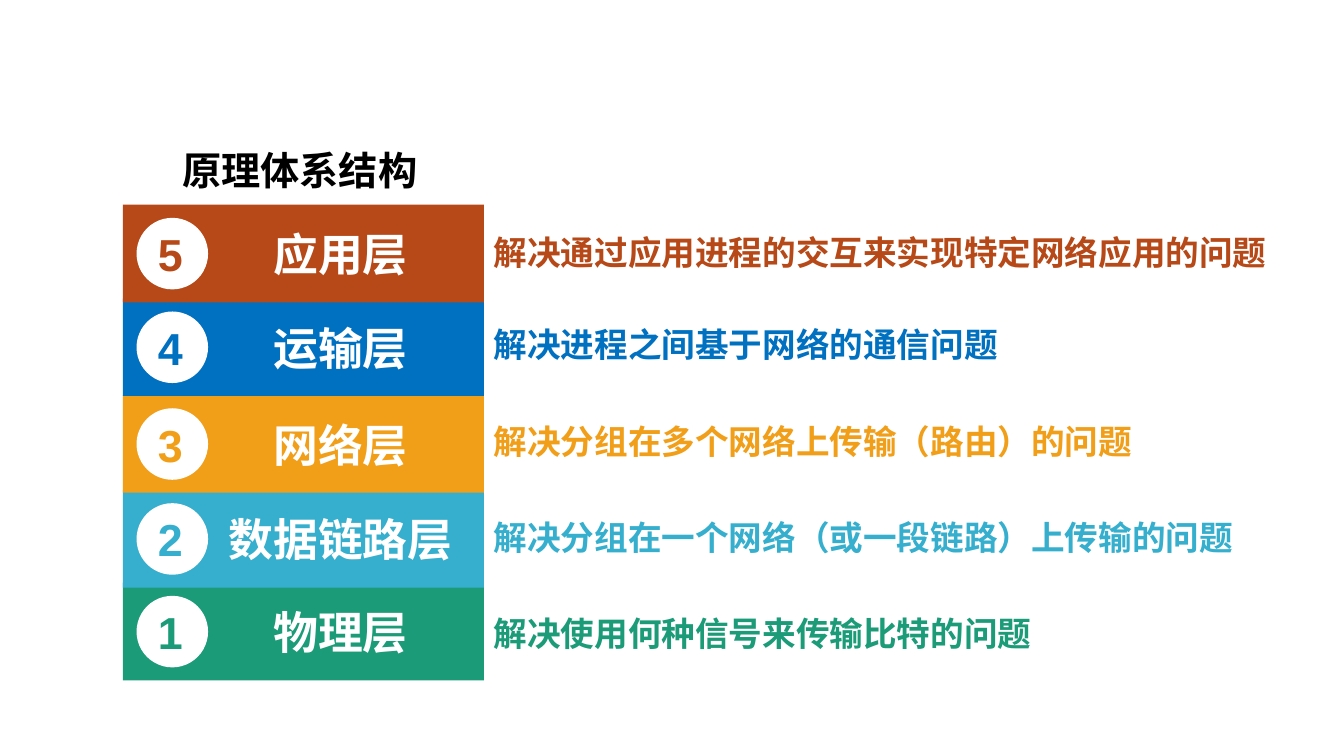
"""Build a slide of the five network layers and the problem each one solves."""
from lxml import etree
from pptx import Presentation
from pptx.dml.color import RGBColor
from pptx.enum.shapes import MSO_SHAPE
from pptx.enum.text import MSO_ANCHOR, MSO_AUTO_SIZE, PP_ALIGN
from pptx.oxml.ns import qn
from pptx.util import Pt

RECT, OVAL = MSO_SHAPE.RECTANGLE, MSO_SHAPE.OVAL
LEFT, CENTER = PP_ALIGN.LEFT, PP_ALIGN.CENTER
MIDDLE, FIXED = MSO_ANCHOR.MIDDLE, MSO_AUTO_SIZE.NONE
LATIN, HAN = "Arial", "Noto Sans CJK SC"
COLORS = {
    "green": "1C9B78", "cyan": "35AFCD", "amber": "F19E19",
    "blue": "0070C0", "rust": "B64917", "white": "FFFFFF", "black": "000000",
}
LAYERS = [
    ("物理层", "解决使用何种信号来传输比特的问题", "green", 416.2, 434.2, 489),
    ("数据链路层", "解决分组在一个网络（或一段链路）上传输的问题", "cyan", 350, 365.8, 555),
    ("网络层", "解决分组在多个网络上传输（路由）的问题", "amber", 282.2, 297.4, 489),
    ("运输层", "解决进程之间基于网络的通信问题", "blue", 213.1, 227.5, 489),
    ("应用层", "解决通过应用进程的交互来实现特定网络应用的问题", "rust", 146.2, 162, 581),
]


def write(box, text, size, color, font=HAN, align=LEFT):
    frame = box.text_frame
    format = {"word_wrap": True, "auto_size": FIXED, "vertical_anchor": MIDDLE}
    for name, value in format.items():
        setattr(frame, name, value)
    line = frame.paragraphs[0]
    line.alignment = align
    line.line_spacing = 1.0
    line.space_before = Pt(0)
    run = line.add_run()
    run.text = text
    for name, value in {"name": font, "size": Pt(size), "bold": True}.items():
        setattr(run.font, name, value)
    run.font.color.rgb = RGBColor.from_string(COLORS[color])
    etree.SubElement(run._r.get_or_add_rPr(), qn("a:ea"), typeface=font)


def draw(kind, color, *place):
    shape = shapes.add_shape(kind, *map(Pt, place))
    shape.shadow.inherit = False
    shape.fill.solid()
    shape.fill.fore_color.rgb = RGBColor.from_string(COLORS[color])
    shape.line.fill.background()


deck = Presentation()
deck.slide_width, deck.slide_height = Pt(960), Pt(540)
slide = deck.slides.add_slide(deck.slide_layouts[5])
shapes = slide.shapes

title = shapes.title
place = {"left": 123.1, "top": 100.8, "width": 193, "height": 41}
for name, value in place.items():
    setattr(title, name, Pt(value))
write(title, "原理体系结构", 28, "black")

for level, (layer, note, color, top, base, width) in enumerate(LAYERS, 1):
    draw(RECT, color, 87.8, top, 257.8, 69.8)
    draw(OVAL, "white", 97.5, top + 9.4, 51.1, 51.1)
    digit = shapes.add_textbox(Pt(105.8), Pt(top + 12), Pt(28), Pt(46))
    write(digit, str(level), 32, color, LATIN)
    label = shapes.add_textbox(Pt(148.3), Pt(top + 12), Pt(190), Pt(46))
    write(label, layer, 32, "white", align=CENTER)
    remark = shapes.add_textbox(Pt(345.6), Pt(base), Pt(width), Pt(36))
    write(remark, note, 24, color)

deck.save("out.pptx")
